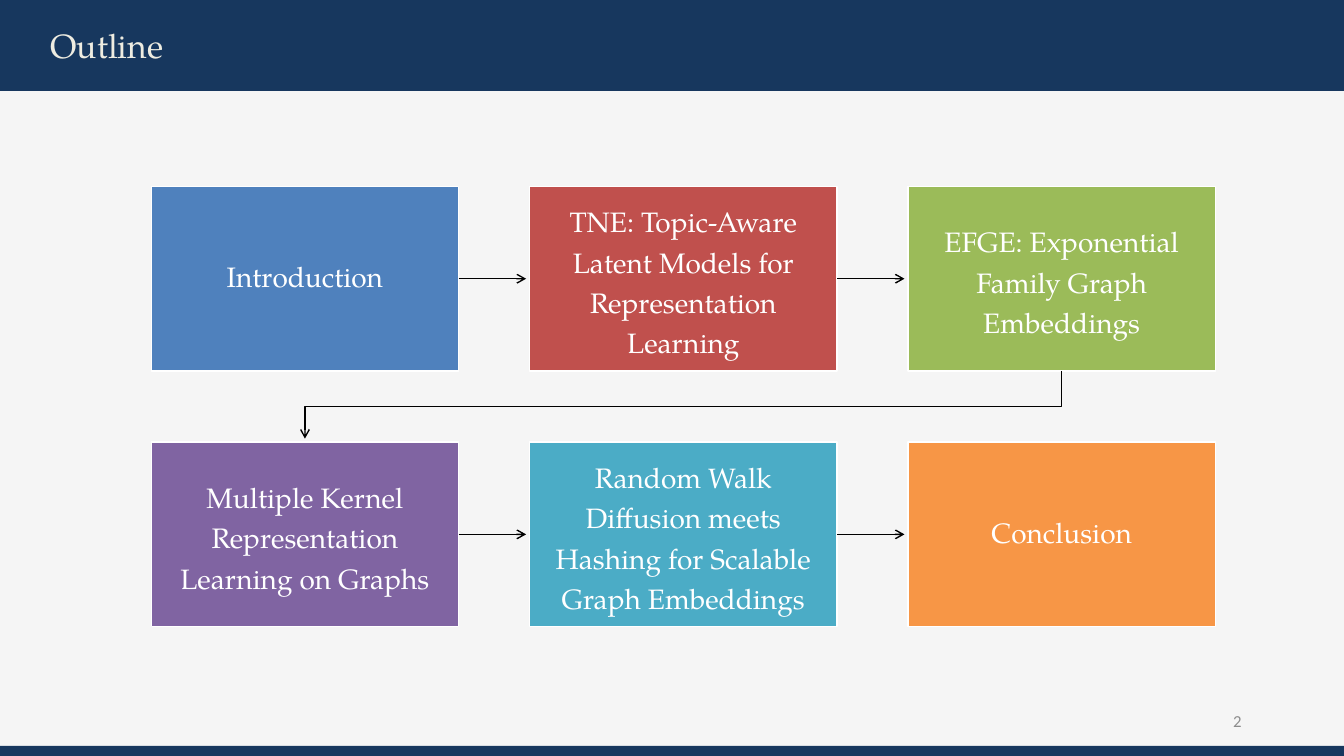
from dataclasses import dataclass

from pptx import Presentation
from pptx.dml.color import RGBColor
from pptx.enum.shapes import MSO_CONNECTOR, MSO_SHAPE
from pptx.enum.text import MSO_ANCHOR, MSO_AUTO_SIZE, PP_ALIGN
from pptx.oxml.ns import qn
from pptx.util import Pt
from lxml.etree import SubElement


@dataclass(frozen=True)
class Theme:
    back: str = "F5F5F5"
    navy: str = "17375E"
    cream: str = "EEECE1"
    white: str = "FFFFFF"
    black: str = "000000"
    gray: str = "8C8C8C"
    serif: str = "TeX Gyre Pagella"
    sans: str = "Calibri"
    head: int = 24
    body: int = 20
    small: int = 12


THEME = Theme()
WIDE, HIGH = 960, 540
LEFT, TOP = 108, 133.2
BOX_W, BOX_H = 219.6, 131.8
STEP_X, STEP_Y = 270.3, 182.6
TIP = 2.5  # space between an arrowhead and its target
COLS = 3

# label, fill, line spacing
STAGES = [
    ("Introduction", "4F81BD", 0.9),
    ("TNE: Topic-Aware Latent Models for Representation Learning", "C0504D", 1.2),
    ("EFGE: Exponential Family Graph Embeddings", "9BBB59", 1.2),
    ("Multiple Kernel Representation Learning on Graphs", "8064A2", 1.2),
    ("Random Walk Diffusion meets Hashing for Scalable Graph Embeddings", "4BACC6", 1.2),
    ("Conclusion", "F79646", 0.9),
]


def color(code):
    return RGBColor.from_string(code)


def paint(shape, code):
    shape.fill.solid()
    shape.fill.fore_color.rgb = color(code)


def write(shape, text, size, face, code, align, pads):
    """Put one run into the shape; pads are left, top, right, bottom."""
    frame = shape.text_frame
    frame.word_wrap = True
    frame.auto_size = MSO_AUTO_SIZE.NONE
    frame.vertical_anchor = MSO_ANCHOR.MIDDLE
    (frame.margin_left, frame.margin_top,
     frame.margin_right, frame.margin_bottom) = map(Pt, pads)
    para = frame.paragraphs[0]
    para.alignment = align
    run = para.add_run()
    run.text = text
    run.font.size = Pt(size)
    run.font.name = face
    run.font.color.rgb = color(code)
    return para


def add_rect(slide, left, top, width, height, code):
    rect = slide.shapes.add_shape(
        MSO_SHAPE.RECTANGLE, Pt(left), Pt(top), Pt(width), Pt(height))
    rect.shadow.inherit = False
    paint(rect, code)
    rect.line.fill.background()
    return rect


def add_title(slide, text):
    title = slide.shapes.title
    title.left, title.top, title.width, title.height = (
        Pt(0), Pt(0), Pt(WIDE), Pt(65))
    paint(title, THEME.navy)
    write(title, text, THEME.head, THEME.serif, THEME.cream,
          PP_ALIGN.LEFT, (36, 3.6, 7.2, 3.6))


def add_number(slide, text):
    box = slide.shapes.add_textbox(Pt(678), Pt(500.5), Pt(216), Pt(28.8))
    write(box, text, THEME.small, THEME.sans, THEME.gray,
          PP_ALIGN.RIGHT, (7.2, 3.6, 7.2, 3.6))


def add_stage(slide, left, top, label, fill, lead):
    box = add_rect(slide, left, top, BOX_W, BOX_H, fill)
    box.line.color.rgb = color(THEME.white)
    box.line.width = Pt(1)
    para = write(box, label, THEME.body, THEME.serif, THEME.white,
                 PP_ALIGN.CENTER, (10.8, 11.5, 10.8, 11.5))
    para.line_spacing = lead
    para.space_after = Pt(7)


def add_head(shape):
    """Style the line and give its end an open arrowhead."""
    shape.line.color.rgb = color(THEME.black)
    shape.line.width = Pt(1)
    props = shape._element.spPr
    SubElement(props.find(qn("a:ln")), qn("a:tailEnd"), type="arrow")
    if props.find(qn("a:effectLst")) is None:
        SubElement(props, qn("a:effectLst"))


def add_arrow(slide, left, top):
    """Link the box at this corner to the next one in its row."""
    mid = Pt(top + BOX_H / 2)
    arrow = slide.shapes.add_connector(
        MSO_CONNECTOR.STRAIGHT, Pt(left + BOX_W), mid,
        Pt(left + STEP_X - TIP), mid)
    add_head(arrow)


def add_turn(slide, left, top):
    """Link the last box of a row to the first box of the next row."""
    start, end = left + BOX_W / 2, LEFT + BOX_W / 2
    low, goal = top + BOX_H, top + STEP_Y - TIP
    mid = (low + goal + TIP) / 2
    pen = slide.shapes.build_freeform(Pt(start), Pt(low))
    pen.add_line_segments(
        [(Pt(x), Pt(y)) for x, y in ((start, mid), (end, mid), (end, goal))],
        close=False)
    turn = pen.convert_to_shape()
    turn.shadow.inherit = False
    turn.fill.background()
    add_head(turn)


def main():
    deck = Presentation()
    deck.slide_width, deck.slide_height = Pt(WIDE), Pt(HIGH)
    slide = deck.slides.add_slide(deck.slide_layouts[5])
    slide.background.fill.solid()
    slide.background.fill.fore_color.rgb = color(THEME.back)

    add_title(slide, "Outline")
    for index, stage in enumerate(STAGES):
        row, col = divmod(index, COLS)
        left, top = LEFT + col * STEP_X, TOP + row * STEP_Y
        add_stage(slide, left, top, *stage)
        if col < COLS - 1:
            add_arrow(slide, left, top)
        elif index < len(STAGES) - 1:
            add_turn(slide, left, top)
    add_rect(slide, 0, 532.8, WIDE, 7.2, THEME.navy)
    add_number(slide, "2")
    deck.save("out.pptx")


if __name__ == "__main__":
    main()
